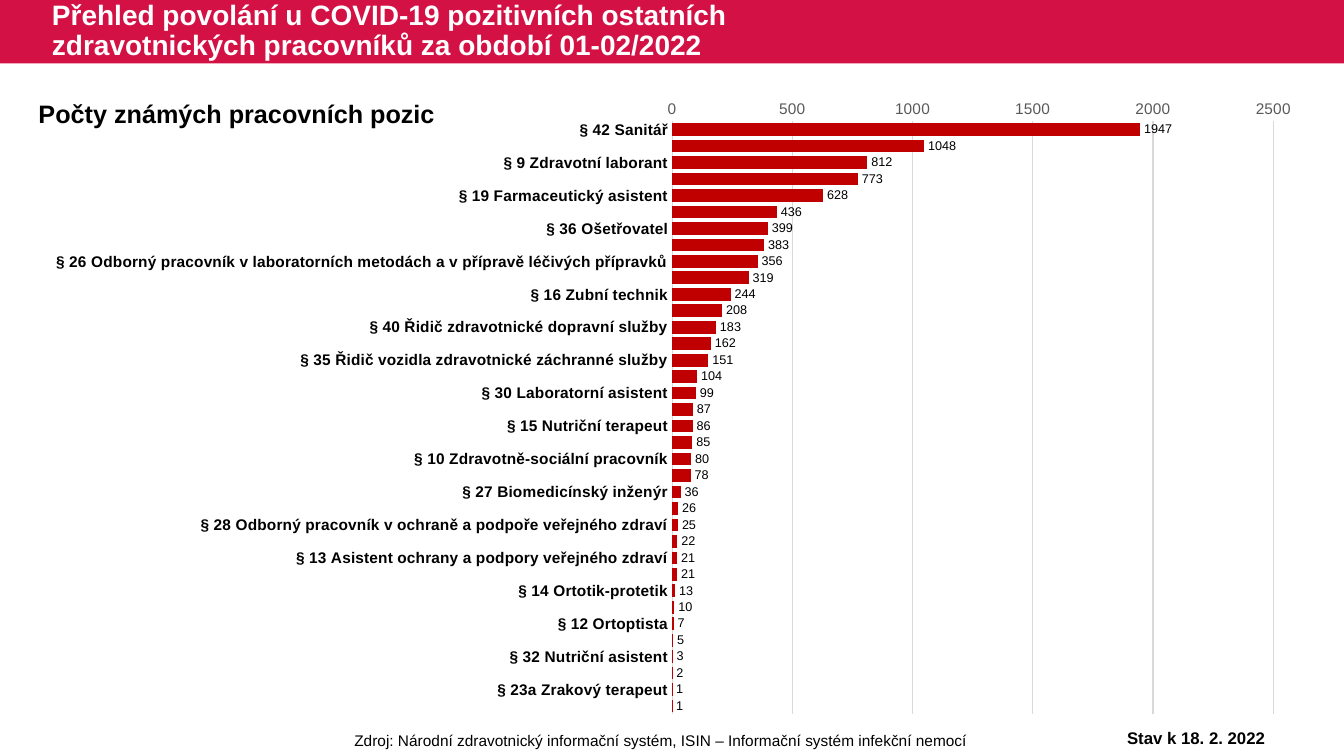
"""Build a slide charting occupations of COVID-19 positive health workers."""
from dataclasses import dataclass

from lxml import etree
from pptx import Presentation
from pptx.chart.data import CategoryChartData
from pptx.dml.color import RGBColor
from pptx.enum.chart import XL_CHART_TYPE, XL_LABEL_POSITION, XL_TICK_MARK
from pptx.enum.shapes import MSO_SHAPE
from pptx.enum.text import MSO_ANCHOR, PP_ALIGN
from pptx.oxml.ns import qn
from pptx.util import Inches, Pt

BAR = XL_CHART_TYPE.BAR_CLUSTERED
OUTSIDE_END = XL_LABEL_POSITION.OUTSIDE_END
NO_TICK = XL_TICK_MARK.NONE
RECTANGLE = MSO_SHAPE.RECTANGLE
TOP, MIDDLE = MSO_ANCHOR.TOP, MSO_ANCHOR.MIDDLE
LEFT, CENTER = PP_ALIGN.LEFT, PP_ALIGN.CENTER

WIDTH, HEIGHT = Inches(13.33), Inches(7.5)
COLUMNS, ROWS = 160, 90
BANNER_ROWS = 7.56
PLOT_SHARES = {"x": 0.51, "y": 0.063, "w": 0.46, "h": 0.917}
PLOT_SHARES["x"] = 0.511

BAR_PAIRS = [
    ("§ 42 Sanitář", 1947, 1048),
    ("§ 9 Zdravotní laborant", 812, 773),
    ("§ 19 Farmaceutický asistent", 628, 436),
    ("§ 36 Ošetřovatel", 399, 383),
    ("§ 26 Odborný pracovník v laboratorních metodách a v přípravě léčivých přípravků",
     356, 319),
    ("§ 16 Zubní technik", 244, 208),
    ("§ 40 Řidič zdravotnické dopravní služby", 183, 162),
    ("§ 35 Řidič vozidla zdravotnické záchranné služby", 151, 104),
    ("§ 30 Laboratorní asistent", 99, 87),
    ("§ 15 Nutriční terapeut", 86, 85),
    ("§ 10 Zdravotně-sociální pracovník", 80, 78),
    ("§ 27 Biomedicínský inženýr", 36, 26),
    ("§ 28 Odborný pracovník v ochraně a podpoře veřejného zdraví", 25, 22),
    ("§ 13 Asistent ochrany a podpory veřejného zdraví", 21, 21),
    ("§ 14 Ortotik-protetik", 13, 10),
    ("§ 12 Ortoptista", 7, 5),
    ("§ 32 Nutriční asistent", 3, 2),
    ("§ 23a Zrakový terapeut", 1, 1),
]


@dataclass(frozen=True)
class Theme:
    """Colours, typeface and type sizes of the slide."""
    font: str = "Arial"
    banner: RGBColor = RGBColor(0xD3, 0x11, 0x45)
    bar: RGBColor = RGBColor(0xC0, 0x00, 0x00)
    grid: RGBColor = RGBColor(0xD9, 0xD9, 0xD9)
    muted: RGBColor = RGBColor(0x59, 0x59, 0x59)
    ink: RGBColor = RGBColor(0, 0, 0)
    paper: RGBColor = RGBColor(0xFF, 0xFF, 0xFF)
    title: int = 20
    heading: int = 18
    date: int = 12
    small: int = 11
    chart: int = 10
    value: int = 9


THEME = Theme()


def place(col, row, cols, rows):
    """Return left, top, width and height of a block of grid cells."""
    return (int(WIDTH * col / COLUMNS), int(HEIGHT * row / ROWS),
            int(WIDTH * cols / COLUMNS), int(HEIGHT * rows / ROWS))


def style_font(font, size, color=THEME.ink, bold=False):
    """Set typeface, size, colour and weight of a font."""
    font.name, font.size, font.bold = THEME.font, Pt(size), bold
    font.color.rgb = color


def style_line(line):
    """Draw a thin grey line."""
    line.color.rgb, line.width = THEME.grid, Pt(0.75)


def add_banner(slide):
    """Add the coloured band along the top of the slide."""
    sp = slide.shapes.add_shape(RECTANGLE, *place(0, 0, COLUMNS, BANNER_ROWS))
    sp.shadow.inherit = False
    sp.fill.solid()
    sp.fill.fore_color.rgb = THEME.banner
    sp.line.fill.background()


def add_text(slide, text, cells, size, color=THEME.ink, bold=False,
             align=LEFT, anchor=TOP, wrap=True, spacing=None):
    """Add a text box holding one formatted paragraph."""
    tf = slide.shapes.add_textbox(*place(*cells)).text_frame
    tf.word_wrap, tf.vertical_anchor = wrap, anchor
    p = tf.paragraphs[0]
    p.alignment, p.line_spacing = align, spacing
    r = p.add_run()
    r.text = text
    style_font(r.font, size, color, bold)


def fix_plot(chart):
    """Place the inner plot area by shares of the chart's size."""
    plot_area = chart.element.find(".//" + qn("c:plotArea"))
    for old in plot_area.findall(qn("c:layout")):
        plot_area.remove(old)
    layout = etree.Element(qn("c:layout"))
    manual = etree.SubElement(layout, qn("c:manualLayout"))
    settings = {"layoutTarget": "inner", "xMode": "edge", "yMode": "edge", **PLOT_SHARES}
    for tag, val in settings.items():
        etree.SubElement(manual, qn("c:" + tag)).set("val", str(val))
    plot_area.insert(0, layout)


def style_axes(chart):
    """Format the occupation axis and the count axis."""
    names, counts = chart.category_axis, chart.value_axis
    for axis in (names, counts):
        axis.major_tick_mark = axis.minor_tick_mark = NO_TICK
    names.reverse_order = True
    names.has_major_gridlines = False
    style_line(names.format.line)
    style_font(names.tick_labels.font, THEME.small, bold=True)
    counts.minimum_scale, counts.maximum_scale, counts.major_unit = 0, 2500, 500
    counts.has_major_gridlines = True
    style_line(counts.major_gridlines.format.line)
    counts.format.line.fill.background()
    style_font(counts.tick_labels.font, THEME.small, THEME.muted)


def add_bar_chart(slide, cells, bar_pairs):
    """Add the bar chart, naming the first bar of each pair."""
    data = CategoryChartData()
    data.categories = [label for name, _, _ in bar_pairs for label in (name, "")]
    data.add_series("Series 1", [count for _, *pair in bar_pairs for count in pair])
    chart = slide.shapes.add_chart(BAR, *place(*cells), data).chart
    chart.has_legend = chart.has_title = False
    style_font(chart.font, THEME.chart)
    fix_plot(chart)
    style_axes(chart)
    plot = chart.plots[0]
    plot.gap_width, plot.overlap, plot.vary_by_categories = 30, 100, False
    fill = plot.series[0].format.fill
    fill.solid()
    fill.fore_color.rgb = THEME.bar
    plot.has_data_labels = True
    labels = plot.data_labels
    labels.show_value, labels.position = True, OUTSIDE_END
    style_font(labels.font, THEME.value)


def main():
    """Build and save the slide."""
    prs = Presentation()
    prs.slide_width, prs.slide_height = WIDTH, HEIGHT
    slide = prs.slides.add_slide(prs.slide_layouts[6])
    add_banner(slide)
    add_bar_chart(slide, (0.5, 9.6, 155.6, 77), BAR_PAIRS)
    add_text(slide, "Zdroj: Národní zdravotnický informační systém, "
             "ISIN – Informační systém infekční nemocí",
             (28.4, 86.4, 100.6, 3.5), THEME.small, align=CENTER)
    add_text(slide, "Přehled povolání u COVID-19 pozitivních ostatních "
             "zdravotnických pracovníků za období 01-02/2022",
             (5, 0, 99.1, BANNER_ROWS), THEME.title, THEME.paper, bold=True,
             anchor=MIDDLE, spacing=0.9)
    add_text(slide, "Počty známých pracovních pozic", (3.4, 11.1, 50, 4.8),
             THEME.heading, bold=True, wrap=False)
    add_text(slide, "Stav k 18. 2. 2022", (129.2, 86, 26.4, 3.6), THEME.date,
             bold=True, align=CENTER)
    prs.save("out.pptx")


if __name__ == "__main__":
    main()
